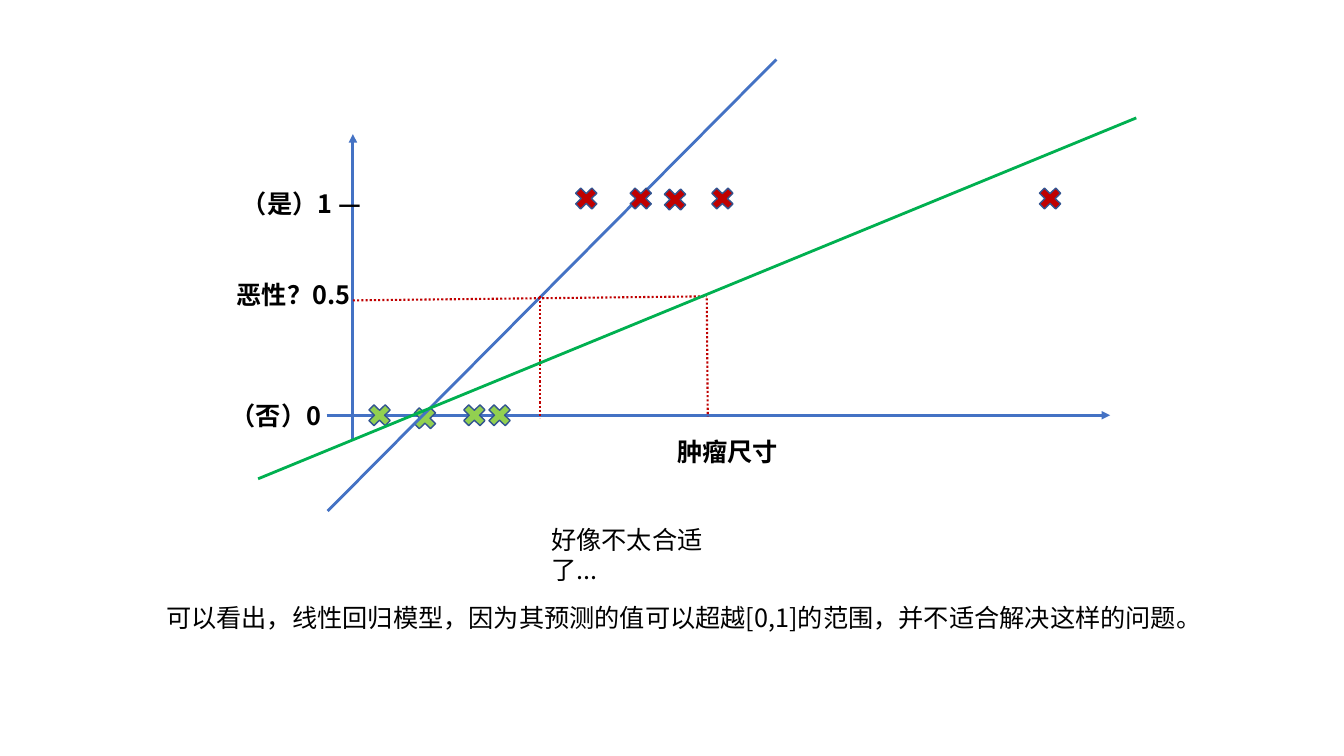
from pptx import Presentation
from pptx.dml.color import RGBColor
from pptx.enum.dml import MSO_LINE
from pptx.enum.shapes import MSO_CONNECTOR, MSO_SHAPE
from pptx.enum.text import MSO_AUTO_SIZE
from pptx.oxml.ns import qn
from pptx.util import Inches, Pt
from lxml.etree import SubElement

BLUE = RGBColor(0x44, 0x72, 0xC4)
OUTLINE = RGBColor(0x32, 0x54, 0x91)
LIGHT_GREEN = RGBColor(0x92, 0xD0, 0x50)
GREEN = RGBColor(0x00, 0xB0, 0x50)
RED = RGBColor(0xC0, 0x00, 0x00)
BLACK = RGBColor(0, 0, 0)

FONT = "Noto Sans CJK SC"
MARK_WIDTH, MARK_HEIGHT = 0.31, 0.3
PLOT_BOX = (2.19, 0.59, 9.08, 4.48)
NOTES_BOX = (1.55, 5.15, 10.8, 1.18)


def add_line(slide, start, end, color, width=2, dotted=False, arrow=False):
    points = [Inches(value) for value in (*start, *end)]
    connector = slide.shapes.add_connector(MSO_CONNECTOR.STRAIGHT, *points)
    connector.line.color.rgb = color
    connector.line.width = Pt(width)
    if dotted:
        connector.line.dash_style = MSO_LINE.ROUND_DOT
    if arrow:
        SubElement(connector.line._get_or_add_ln(), qn("a:tailEnd"), type="triangle")
    SubElement(connector._element.spPr, qn("a:effectLst"))


def add_mark(slide, left, top, color):
    box = [Inches(value) for value in (left, top, MARK_WIDTH, MARK_HEIGHT)]
    shape = slide.shapes.add_shape(MSO_SHAPE.MATH_MULTIPLY, *box)
    shape.shadow.inherit = False
    shape.fill.solid()
    shape.fill.fore_color.rgb = color
    shape.line.color.rgb = OUTLINE
    shape.line.width = Pt(1)


def add_text(slide, box, lines, bold=False):
    """Each line is (text, left indent in inches, space before in points)."""
    text_box = slide.shapes.add_textbox(*[Inches(value) for value in box])
    frame = text_box.text_frame
    frame.word_wrap = True
    frame.auto_size = MSO_AUTO_SIZE.SHAPE_TO_FIT_TEXT
    font_format = {"name": FONT, "size": Pt(18), "bold": bold}
    for index, (text, indent, space) in enumerate(lines):
        paragraph = frame.add_paragraph() if index else frame.paragraphs[0]
        paragraph._p.get_or_add_pPr().set("marL", str(Inches(indent)))
        if space:
            paragraph.space_before = Pt(space)
        run = paragraph.add_run()
        run.text = text
        for name, value in font_format.items():
            setattr(run.font, name, value)
        run.font.color.rgb = BLACK
        SubElement(run.font._element, qn("a:ea"), typeface=FONT)


def add_plot(slide, box):
    left, top, width, height = box

    def at(x, y):
        return left + x, top + y

    # Axes and their labels
    add_line(slide, at(1.05, 3.53), at(8.82, 3.53), BLUE, arrow=True)
    add_line(slide, at(1.31, 3.79), at(1.31, 0.74), BLUE, arrow=True)
    value_labels = [("（是）1 —", 0.11, 0), ("恶性？0.5", 0.06, 43.5), ("（否）0", 0, 64.5)]
    add_text(slide, (*at(0, 1.23), 1.79, 2.83), value_labels, bold=True)
    add_text(slide, (*at(4.43, 3.69), 1.26, 0.4), [("肿瘤尺寸", 0, 0)], bold=True)

    # Benign samples
    for x, y in [(1.42, 3.38), (1.87, 3.41), (2.36, 3.38), (2.61, 3.38)]:
        add_mark(slide, *at(x, y), LIGHT_GREEN)

    # First fit with its threshold
    add_line(slide, at(1.06, height), at(5.51, 0), BLUE)
    add_line(slide, at(1.31, 2.39), at(4.82, 2.35), RED, 1.5, dotted=True)
    add_line(slide, at(3.17, 2.35), at(3.17, 3.56), RED, 1.5, dotted=True)

    # Malignant samples
    for x, y in [(3.47, 1.23), (4.01, 1.23), (4.35, 1.24), (4.82, 1.23), (8.07, 1.23)]:
        add_mark(slide, *at(x, y), RED)

    # Second fit, pulled down by the far sample
    add_line(slide, at(0.37, 4.16), at(width, 0.58), GREEN)
    add_line(slide, at(4.82, 2.37), at(4.83, 3.54), RED, 1.5, dotted=True)


def add_notes_text(slide, box):
    left, top, width, height = box
    add_text(slide, (left + 3.82, top, 2.14, 0.7), [("好像不太合适了...", 0, 0)])
    conclusion = "可以看出，线性回归模型，因为其预测的值可以超越[0,1]的范围，并不适合解决这样的问题。"
    add_text(slide, (left, top + height - 0.4, width, 0.4), [(conclusion, 0, 0)])


def main():
    presentation = Presentation()
    presentation.slide_width = Inches(13.33)
    presentation.slide_height = Inches(7.5)
    slide = presentation.slides.add_slide(presentation.slide_layouts[6])
    add_plot(slide, PLOT_BOX)
    add_notes_text(slide, NOTES_BOX)
    presentation.save("out.pptx")


if __name__ == "__main__":
    main()
